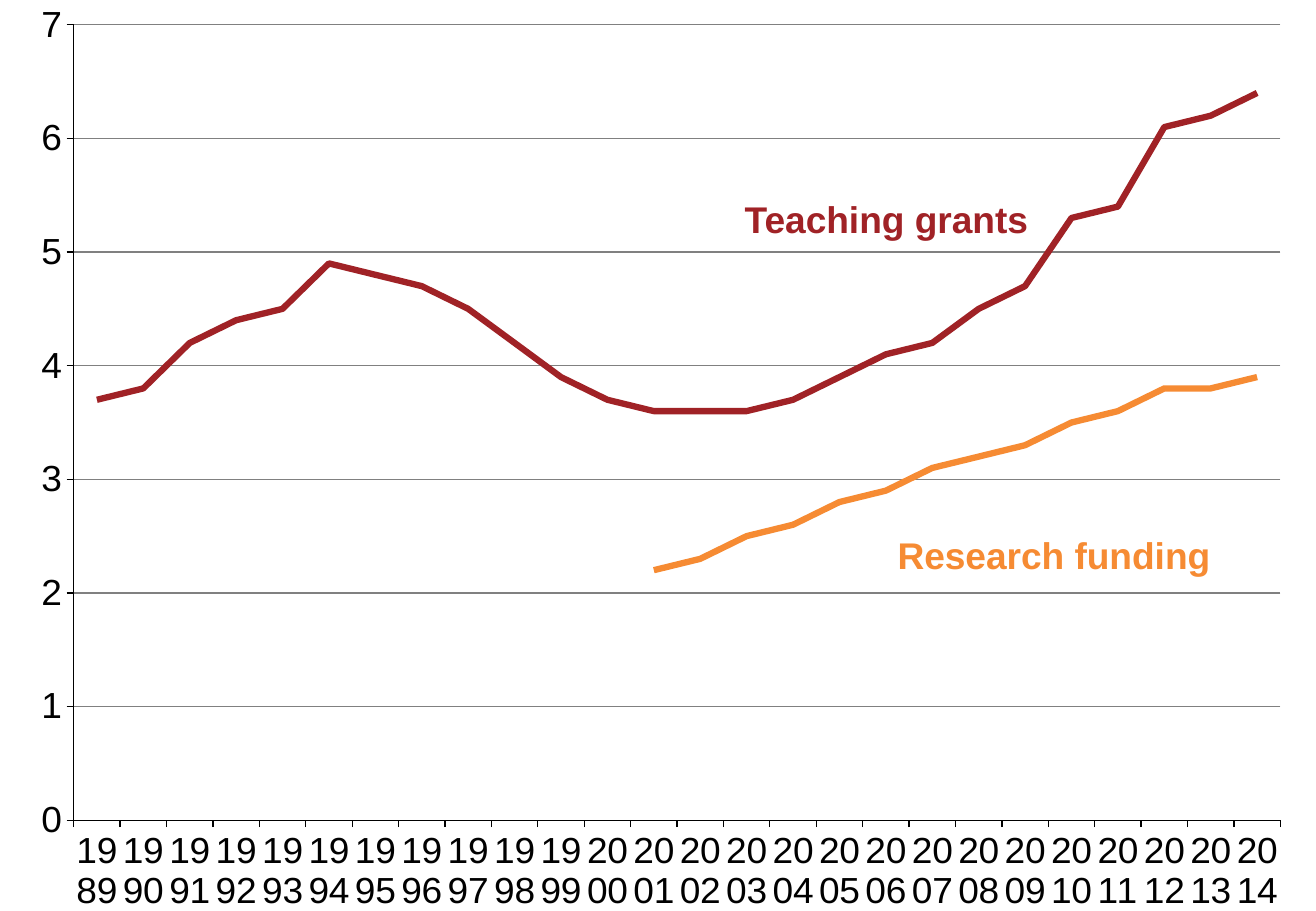
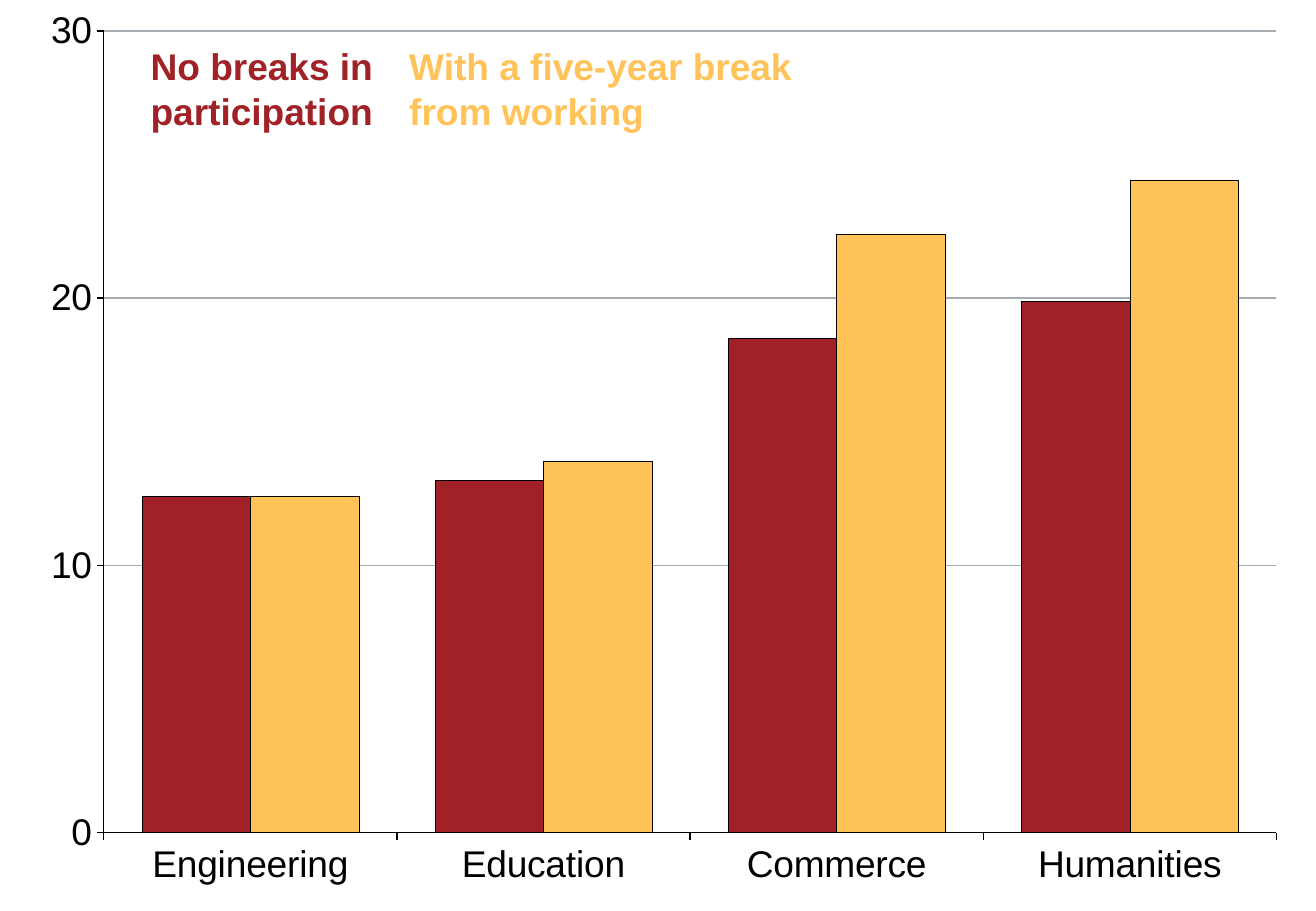
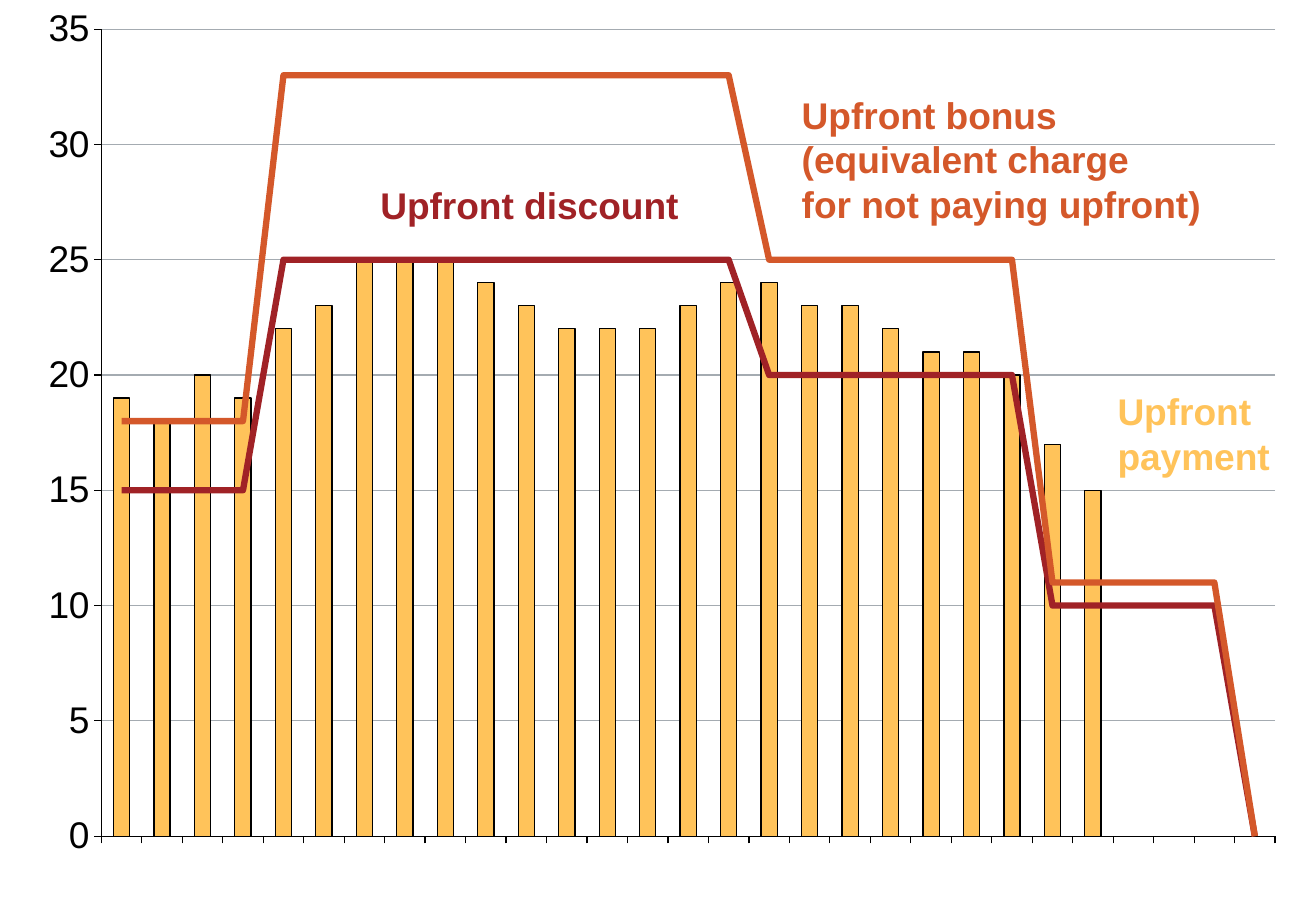
"""Three chart slides on university funding, salaries and upfront student payments."""
from lxml import etree
from pptx import Presentation
from pptx.chart import data as chart_data
from pptx.dml.color import RGBColor
from pptx.enum import chart as charts, text
from pptx.oxml import ns
from pptx.util import Pt

FONT = "Arial"
TEXT_SIZE = Pt(22)
LINE_HEIGHT = 26.6
HEIGHT = 540
BLACK = RGBColor(0x00, 0x00, 0x00)
WHITE = RGBColor(0xFF, 0xFF, 0xFF)
RED = RGBColor(0xA0, 0x22, 0x26)
ORANGE = RGBColor(0xF6, 0x8B, 0x33)
RUST = RGBColor(0xD4, 0x58, 0x2A)
YELLOW = RGBColor(0xFF, 0xC3, 0x5A)
GREY = RGBColor(0xA4, 0xAB, 0xB1)
DARK_GREY = RGBColor(0x80, 0x80, 0x80)
LINE = charts.XL_CHART_TYPE.LINE
COLUMN = charts.XL_CHART_TYPE.COLUMN_CLUSTERED

TEACHING = [3.7, 3.8, 4.2, 4.4, 4.5, 4.9, 4.8, 4.7, 4.5, 4.2, 3.9, 3.7, 3.6,
            3.6, 3.6, 3.7, 3.9, 4.1, 4.2, 4.5, 4.7, 5.3, 5.4, 6.1, 6.2, 6.4]
RESEARCH = [None] * 12 + [2.2, 2.3, 2.5, 2.6, 2.8, 2.9, 3.1, 3.2, 3.3, 3.5, 3.6, 3.8, 3.8, 3.9]
PAYMENT = [19, 18, 20, 19, 22, 23, 25, 25, 25, 24, 23, 22, 22, 22, 23,
           24, 24, 23, 23, 22, 21, 21, 20, 17, 15] + [None] * 4
DISCOUNT = [15] * 4 + [25] * 12 + [20] * 7 + [10] * 5 + [0]
BONUS = [18] * 4 + [33] * 12 + [25] * 7 + [11] * 5 + [0]

SLIDES = [
    {"type": LINE, "width": 780, "plot": (0.056, 0.028, 0.917, 0.895),
     "categories": [str(year) for year in range(1989, 2015)],
     "series": [(TEACHING, RED), (RESEARCH, ORANGE)],
     "top": 7, "step": 1, "format": "#,##0", "grid": DARK_GREY, "show_categories": True,
     "labels": [(441.4, 116.6, 170, RED, ["Teaching grants"], False),
                (532, 315.4, 193.7, ORANGE, ["Research funding"], False)]},
    {"type": COLUMN, "width": 769.7, "plot": (0.08, 0.034, 0.903, 0.88),
     "categories": ["Engineering", "Education", "Commerce", "Humanities"],
     "series": [([12.6, 13.2, 18.5, 19.9], RED), ([12.6, 13.9, 22.4, 24.4], YELLOW)],
     "top": 30, "step": 10, "format": "General", "grid": GREY, "show_categories": True,
     "gap": 70, "outline": 0.25,
     "labels": [(89.3, 25.9, 133.2, RED, ["No breaks in", "participation"], False),
                (242.6, 25.9, 374.4, YELLOW, ["With a five-year break", "from working"], True)]},
    {"type": COLUMN, "width": 780, "plot": (0.077, 0.032, 0.892, 0.886),
     "categories": [str(year) for year in range(1989, 2018)],
     "series": [(PAYMENT, YELLOW), (DISCOUNT, RED), (BONUS, RUST)], "bars": 1,
     "top": 35, "step": 5, "format": "General", "grid": GREY, "show_categories": False,
     "gap": 150, "outline": 0.75,
     "labels": [(225.4, 108, 179.3, RED, ["Upfront discount"], False),
                (475.2, 54.7, 239, RUST,
                 ["Upfront bonus", "(equivalent charge", "for not paying upfront)"], False),
                (662.4, 230.4, 91.4, YELLOW, ["Upfront", "payment"], False)]},
]


def set_all(target, values):
    for name, value in values.items():
        setattr(target, name, value)


def style_line(line, color, width):
    line.color.rgb = color
    line.width = Pt(width)


def add_element(parent, tag, value):
    return etree.SubElement(parent, ns.qn(f"c:{tag}"), val=str(value))


def place_plot(plot_area, fractions):
    for layout in plot_area.findall(ns.qn("c:layout")):
        plot_area.remove(layout)
    layout = etree.Element(ns.qn("c:layout"))
    manual = etree.SubElement(layout, ns.qn("c:manualLayout"))
    add_element(manual, "layoutTarget", "inner")
    for tag in ("xMode", "yMode"):
        add_element(manual, tag, "edge")
    for tag, fraction in zip("xywh", fractions):
        add_element(manual, tag, fraction)
    plot_area.insert(0, layout)


def move_to_lines(plot_area, first):
    bars = plot_area.find(ns.qn("c:barChart"))
    lines = etree.Element(ns.qn("c:lineChart"))
    bars.addnext(lines)
    add_element(lines, "grouping", "standard")
    add_element(lines, "varyColors", 0)
    for series in bars.findall(ns.qn("c:ser"))[first:]:
        for invert in series.findall(ns.qn("c:invertIfNegative")):
            series.remove(invert)
        lines.append(series)
    add_element(lines, "marker", 1)
    for axis in bars.findall(ns.qn("c:axId")):
        add_element(lines, "axId", axis.get("val"))


def style_axes(chart, content):
    category, value = chart.category_axis, chart.value_axis
    for axis in (category, value):
        set_all(axis, {"major_tick_mark": charts.XL_TICK_MARK.OUTSIDE,
                       "minor_tick_mark": charts.XL_TICK_MARK.NONE})
        set_all(axis.tick_labels.font, {"name": FONT, "size": TEXT_SIZE})
        axis.tick_labels.font.color.rgb = BLACK
        style_line(axis.format.line, BLACK, 0.75)
    category.has_major_gridlines = False
    category._element.find(ns.qn("c:txPr")).find(ns.qn("a:bodyPr")).set("rot", "0")
    if not content["show_categories"]:
        category.tick_label_position = charts.XL_TICK_LABEL_POSITION.NONE
    set_all(value, {"minimum_scale": 0, "maximum_scale": content["top"],
                    "major_unit": content["step"], "has_major_gridlines": True})
    set_all(value.tick_labels, {"number_format": content["format"],
                                "number_format_is_linked": False})
    style_line(value.major_gridlines.format.line, content["grid"], 0.75)


def add_chart(slide, content):
    data = chart_data.CategoryChartData()
    data.categories = content["categories"]
    for number, (values, _) in enumerate(content["series"], 1):
        data.add_series(f"Series {number}", values)
    chart = slide.shapes.add_chart(content["type"], Pt(0), Pt(0), Pt(content["width"]),
                                   Pt(HEIGHT), data).chart
    set_all(chart, {"has_legend": False, "has_title": False})
    set_all(chart.font, {"name": FONT, "size": TEXT_SIZE})
    chart.font.color.rgb = BLACK
    plot_area = chart.plots[0]._element.getparent()
    place_plot(plot_area, content["plot"])
    if "bars" in content:
        move_to_lines(plot_area, content["bars"])
    colors = iter(color for _, color in content["series"])
    for plot in chart.plots:
        plot.vary_by_categories = False
        is_bar = plot._element.tag == ns.qn("c:barChart")
        if is_bar:
            set_all(plot, {"gap_width": content["gap"], "overlap": 0})
        for series, color in zip(plot.series, colors):
            if is_bar:
                series.format.fill.solid()
                series.format.fill.fore_color.rgb = color
                style_line(series.format.line, BLACK, content["outline"])
            else:
                style_line(series.format.line, color, 3.75)
                series.marker.style = charts.XL_MARKER_STYLE.NONE
                series.smooth = False
    style_axes(chart, content)


def add_label(slide, left, top, width, color, lines, wrap):
    box = slide.shapes.add_textbox(Pt(left), Pt(top), Pt(width), Pt(LINE_HEIGHT * len(lines)))
    frame = box.text_frame
    set_all(frame, {"margin_left": 0, "margin_top": 0, "margin_right": 0, "margin_bottom": 0,
                    "word_wrap": wrap, "auto_size": text.MSO_AUTO_SIZE.SHAPE_TO_FIT_TEXT})
    frame.text = "\n".join(lines)
    for paragraph in frame.paragraphs:
        font = paragraph.runs[0].font
        set_all(font, {"name": FONT, "size": TEXT_SIZE, "bold": True})
        font.color.rgb = color


def main():
    presentation = Presentation()
    set_all(presentation, {"slide_width": Pt(780), "slide_height": Pt(HEIGHT)})
    for content in SLIDES:
        slide = presentation.slides.add_slide(presentation.slide_layouts[6])
        slide.background.fill.solid()
        slide.background.fill.fore_color.rgb = WHITE
        add_chart(slide, content)
        for label in content["labels"]:
            add_label(slide, *label)
    presentation.save("out.pptx")


if __name__ == "__main__":
    main()
